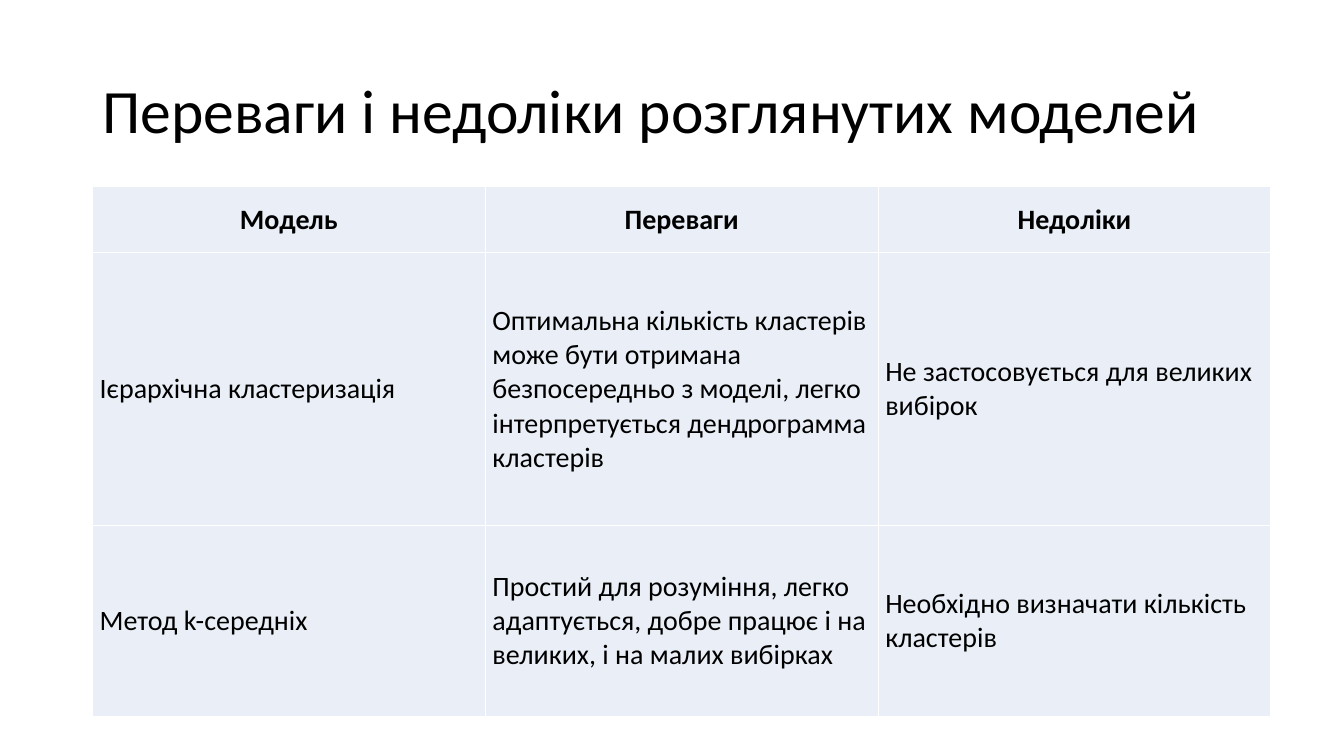
from lxml import etree
from pptx import Presentation
from pptx import util as u
from pptx.dml import color
from pptx.enum import text
from pptx.oxml import ns

FONT = "Calibri"
BLACK, WHITE, PALE_BLUE = "000000", "FFFFFF", "EAEFF7"

TITLE = "Переваги і недоліки розглянутих моделей"
MODELS = [
    ["Модель", "Переваги", "Недоліки"],
    ["Ієрархічна кластеризація",
     "Оптимальна кількість кластерів може бути отримана безпосередньо з моделі, "
     "легко інтерпретується дендрограмма кластерів",
     "Не застосовується для великих вибірок"],
    ["Метод k-середніх",
     "Простий для розуміння, легко адаптується, добре працює і на великих, "
     "і на малих вибірках",
     "Необхідно визначати кількість кластерів"],
]
ROW_HEIGHTS = [1.67, 6.88, 4.8]


def rgb(hex_string):
    return color.RGBColor.from_string(hex_string)


def add_run(paragraph, words, size, bold=False):
    run = paragraph.add_run()
    run.text = words
    run.font.name = FONT
    run.font.size = u.Pt(size)
    run.font.bold = bold
    run.font.color.rgb = rgb(BLACK)


def set_borders(cell, hex_string, points):
    properties = cell._tc.get_or_add_tcPr()
    # Border lines must stand before the fill
    for position, side in enumerate(["lnL", "lnR", "lnT", "lnB"]):
        line = etree.Element(ns.qn(f"a:{side}"), w=str(u.Pt(points)))
        fill = etree.SubElement(line, ns.qn("a:solidFill"))
        etree.SubElement(fill, ns.qn("a:srgbClr"), val=hex_string)
        properties.insert(position, line)


def add_title(slide, left, top, width, height):
    box = slide.shapes.add_textbox(u.Cm(left), u.Cm(top), u.Cm(width), u.Cm(height))
    frame = box.text_frame
    frame.word_wrap = True
    frame.vertical_anchor = text.MSO_ANCHOR.MIDDLE
    paragraph = frame.paragraphs[0]
    paragraph.line_spacing = 0.9
    add_run(paragraph, TITLE, 44)


def fill_cell(cell, words, is_header):
    cell.fill.solid()
    cell.fill.fore_color.rgb = rgb(PALE_BLUE)
    set_borders(cell, WHITE, 1)
    cell.vertical_anchor = text.MSO_ANCHOR.MIDDLE
    cell.margin_left = cell.margin_right = u.Cm(0.18)
    cell.margin_top = cell.margin_bottom = u.Cm(0.18)
    paragraph = cell.text_frame.paragraphs[0]
    paragraph.alignment = text.PP_ALIGN.CENTER if is_header else text.PP_ALIGN.LEFT
    add_run(paragraph, words, 20, bold=is_header)


def add_model_table(slide, left, top, width, height):
    table = slide.shapes.add_table(
        len(MODELS), len(MODELS[0]),
        u.Cm(left), u.Cm(top), u.Cm(width), u.Cm(height)).table
    table.horz_banding = False
    for row, share in zip(table.rows, ROW_HEIGHTS):
        row.height = u.Cm(height * share / sum(ROW_HEIGHTS))
    for row_index, row_words in enumerate(MODELS):
        for column_index, words in enumerate(row_words):
            fill_cell(table.cell(row_index, column_index), words, row_index == 0)


def main():
    presentation = Presentation()
    presentation.slide_width = u.Cm(33.87)
    presentation.slide_height = u.Cm(19.05)
    slide = presentation.slides.add_slide(presentation.slide_layouts[6])

    # Heading above, comparison of the models below
    add_title(slide, 2.33, 1.01, 29.21, 3.68)
    add_model_table(slide, 2.33, 4.7, 29.7, 13.35)

    presentation.save("out.pptx")


if __name__ == "__main__":
    main()
